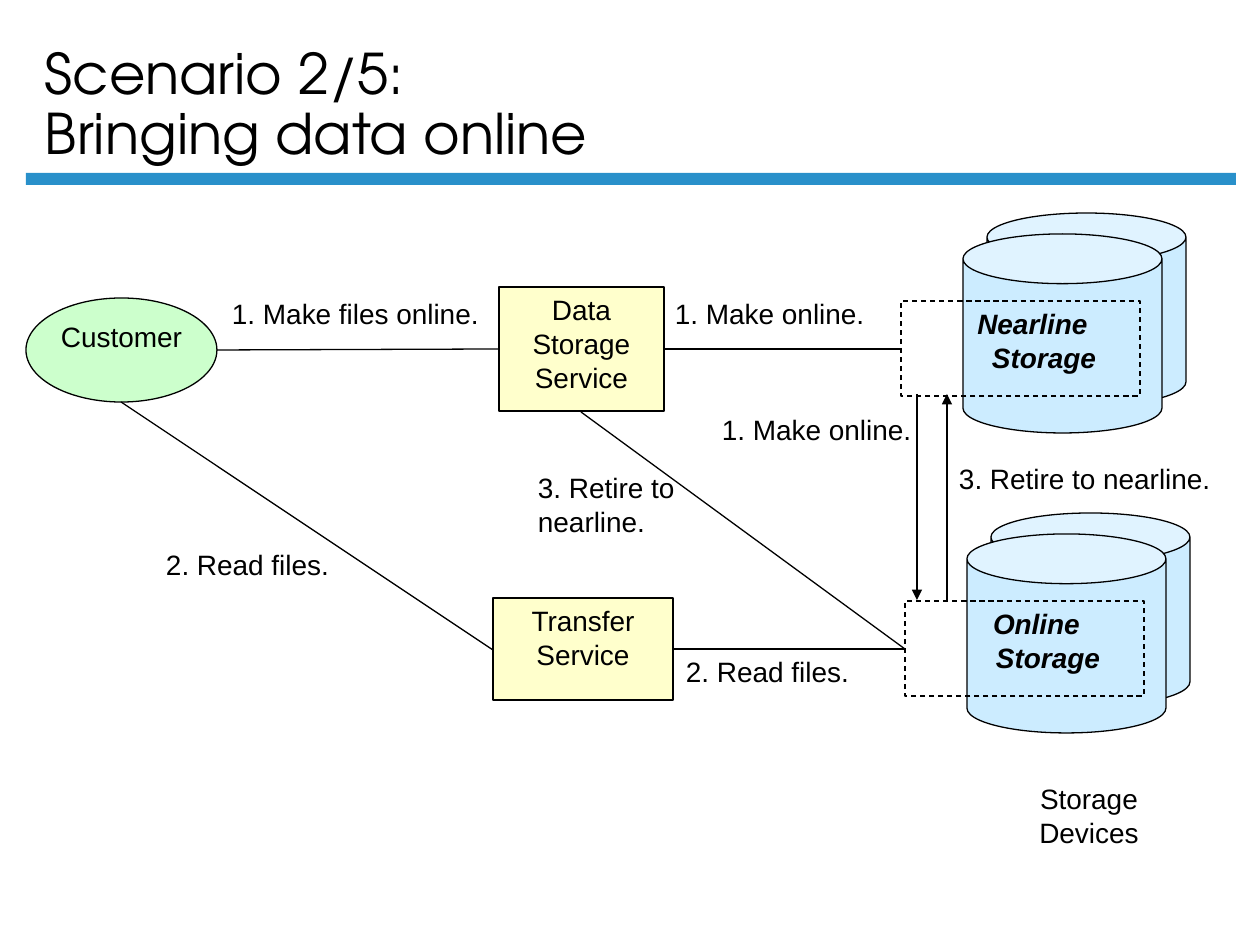
"""Build the storage scenario slide: bringing data online."""
import pptx
import pptx.util
import pptx.dml.color
import pptx.enum.dml
import pptx.enum.shapes
import pptx.enum.text
import pptx.oxml
import pptx.oxml.ns

SCALE = 914400 / 126
KIND = pptx.enum.shapes.MSO_SHAPE
ALIGN = pptx.enum.text.PP_ALIGN
ANCHOR = pptx.enum.text.MSO_ANCHOR

COLOURS = {"ink": "000000", "bar": "2990CA", "paper": "FFFFFF",
           "green": "CCFFCC", "cream": "FFFFCC", "sky": "CCECFF"}

TITLE = "Scenario 2/5:\vBringing data online"
TITLE_BOX = (32, 15, 1079, 158)
BAR = (26, 173, 1210, 12)
WIDE = (13, 6, 13, 6)
TIGHT = (3, 1, 3, 1)

NODES = [
    ("Storage Devices", KIND.RECTANGLE, (989, 776, 200, 88), "paper", False, WIDE),
    ("Customer", KIND.OVAL, (26, 298, 191, 104), "green", True, (3, 6, 3, 1)),
    ("Data Storage\vService", KIND.RECTANGLE, (499, 287, 165, 124), "cream", True, WIDE),
    ("Transfer\vService", KIND.RECTANGLE, (493, 598, 180, 102), "cream", True, WIDE),
]
STORES = [("Nearline\nStorage", 901, 301), ("Online\nStorage", 905, 601)]
CANS = [(86, -88, 199, 193), (62, -67, 199, 199)]
FRAME = (239, 95)
FRAME_PAD = (37, 6, 13, 6)
INDENT = 23

LABELS = [
    ("1. Make files online.", (229, 296, 309, 49)),
    ("1. Make online.", (672, 296, 239, 49)),
    ("1. Make online.", (719, 412, 239, 49)),
    ("2. Read files.", (683, 654, 220, 62)),
    ("2. Read files.", (163, 547, 194, 59)),
    ("3. Retire to nearline.", (535, 470, 239, 86)),
    ("3. Retire to nearline.", (956, 461, 273, 53)),
]
LINKS = [
    ((217, 350), (499, 349), False),
    ((664, 349), (901, 349), False),
    ((673, 649), (905, 649), False),
    ((121, 402), (493, 650), False),
    ((581, 412), (905, 649), False),
    ((917, 394), (917, 600), True),
    ((947, 600), (947, 394), True),
]


def px(count):
    return pptx.util.Emu(round(count * SCALE))


def hue(name):
    return pptx.dml.color.RGBColor.from_string(COLOURS[name])


def ink(line):
    line.color.rgb = hue("ink")
    line.width = pptx.util.Pt(0.75)


def write(shape, text, pad, align, size=16, face="Arial", strong=None):
    frame = shape.text_frame
    frame.text = text
    frame.word_wrap = True
    frame.auto_size = pptx.enum.text.MSO_AUTO_SIZE.NONE
    frame.vertical_anchor = ANCHOR.TOP
    (frame.margin_left, frame.margin_top,
     frame.margin_right, frame.margin_bottom) = map(px, pad)
    for para in frame.paragraphs:
        para.alignment = align
        for run in para.runs:
            font = run.font
            font.name, font.size = face, pptx.util.Pt(size)
            font.bold = font.italic = strong
            font.color.rgb = hue("ink")
    return frame


def draw(slide, kind, box, fill=None, edge=True):
    shape = slide.shapes.add_shape(kind, *map(px, box))
    shape.shadow.inherit = False
    if fill:
        shape.fill.solid()
        shape.fill.fore_color.rgb = hue(fill)
    else:
        shape.fill.background()
    if edge:
        ink(shape.line)
    else:
        shape.line.fill.background()
    return shape


def store(slide, text, left, top):
    for x, y, wide, high in CANS:
        draw(slide, KIND.CAN, (left + x, top + y, wide, high), "sky")
    shape = draw(slide, KIND.RECTANGLE, (left, top, *FRAME))
    shape.line.dash_style = pptx.enum.dml.MSO_LINE.DASH
    frame = write(shape, text, FRAME_PAD, ALIGN.CENTER, strong=True)
    frame.paragraphs[1]._p.get_or_add_pPr().set("marL", str(px(INDENT)))


def link(slide, start, end, arrow):
    line = slide.shapes.add_connector(
        pptx.enum.shapes.MSO_CONNECTOR.STRAIGHT, *map(px, start + end))
    ink(line.line)
    if arrow:
        tail = pptx.oxml.parse_xml(
            f'<a:tailEnd {pptx.oxml.ns.nsdecls("a")} type="triangle"/>')
        line.line._get_or_add_ln().append(tail)
    line._element.spPr.append(
        pptx.oxml.parse_xml(f'<a:effectLst {pptx.oxml.ns.nsdecls("a")}/>'))


def main():
    deck = pptx.Presentation()
    deck.slide_width, deck.slide_height = px(1260), px(945)
    slide = deck.slides.add_slide(deck.slide_layouts[5])
    title = slide.shapes.title
    title.left, title.top, title.width, title.height = map(px, TITLE_BOX)
    frame = write(title, TITLE, WIDE, ALIGN.LEFT, 32, "TeX Gyre Adventor")
    frame.vertical_anchor = ANCHOR.BOTTOM
    frame.paragraphs[0].line_spacing = 0.9
    draw(slide, KIND.RECTANGLE, BAR, "bar", False)
    for text, kind, box, fill, edge, pad in NODES:
        write(draw(slide, kind, box, fill, edge), text, pad, ALIGN.CENTER)
    for item in STORES:
        store(slide, *item)
    for item in LINKS:
        link(slide, *item)
    for text, box in LABELS:
        write(slide.shapes.add_textbox(*map(px, box)), text, TIGHT, ALIGN.LEFT)
    deck.save("out.pptx")


if __name__ == "__main__":
    main()
